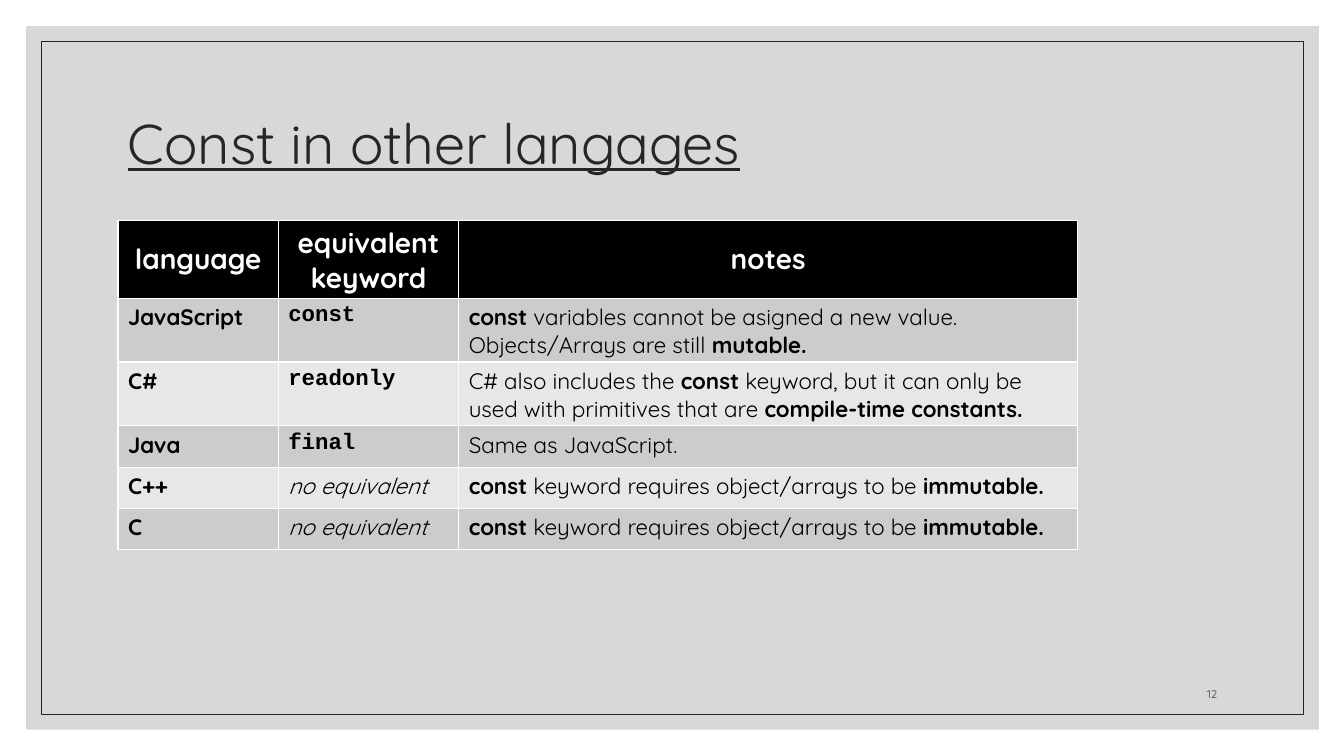
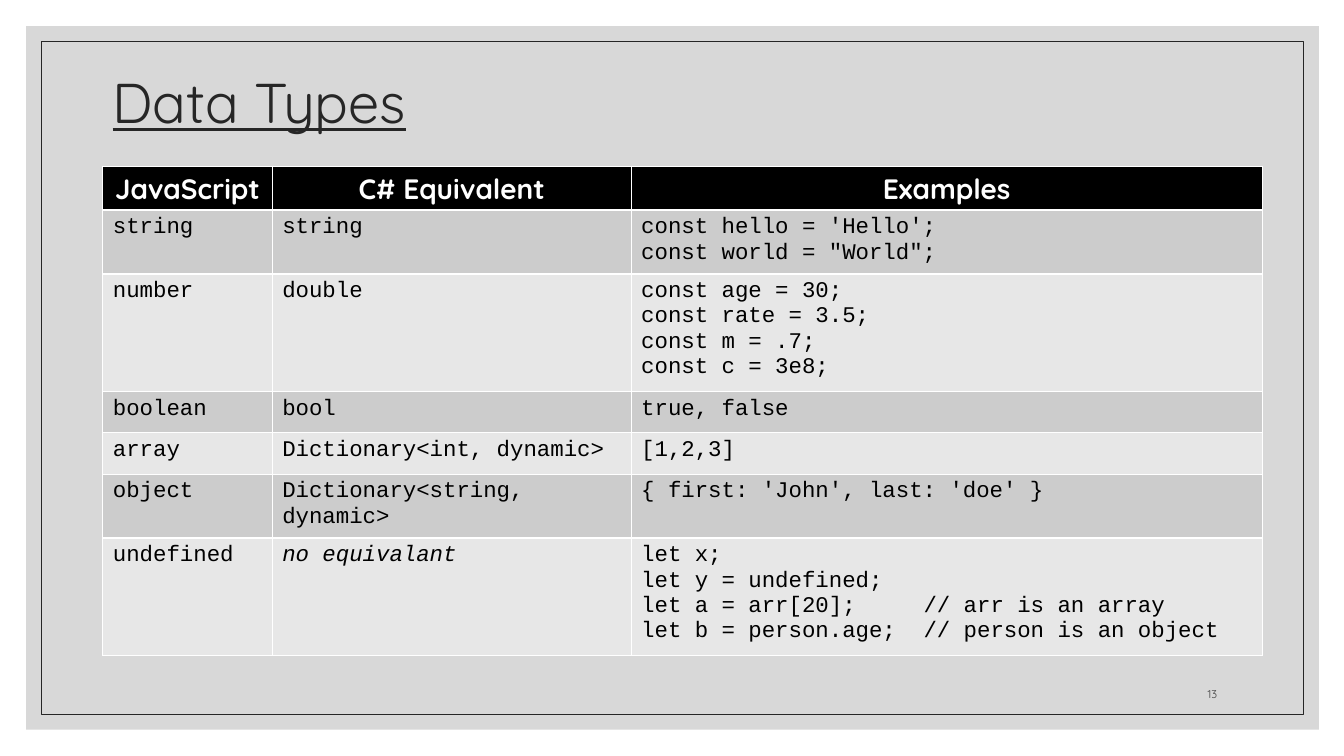
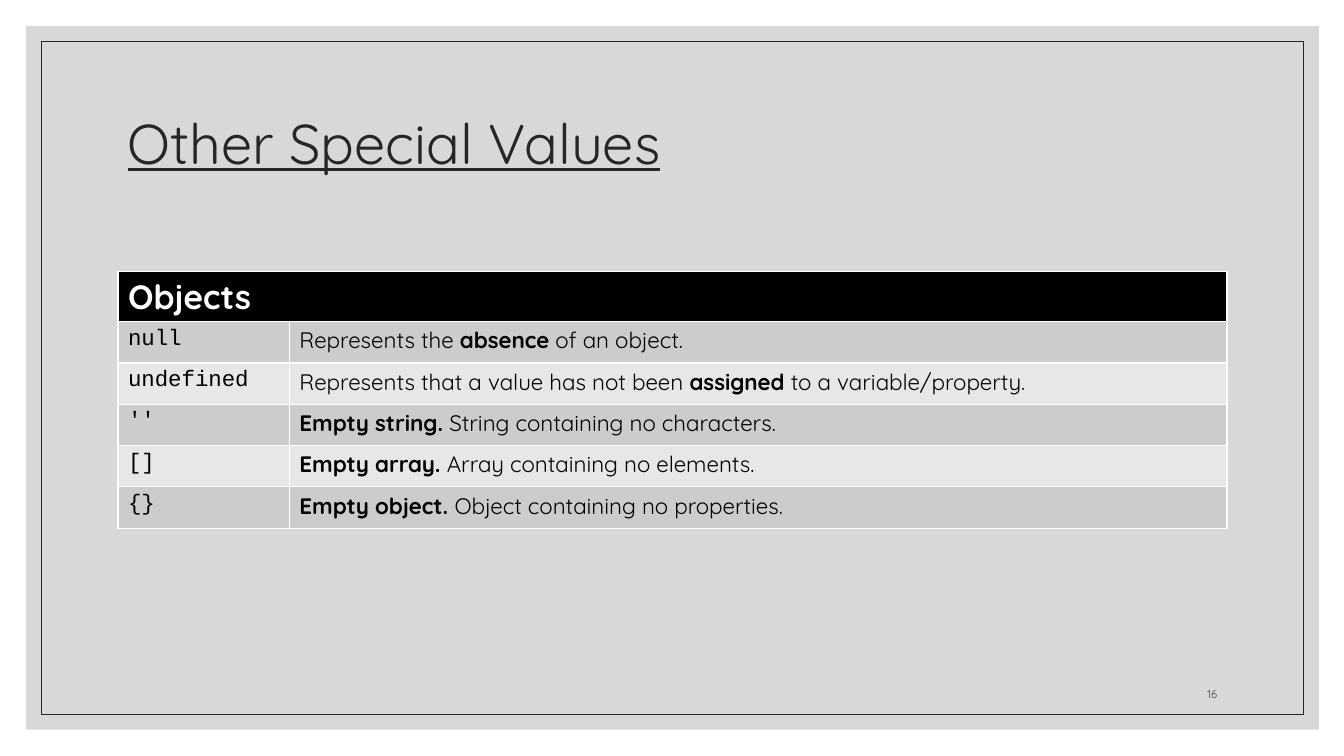
from dataclasses import dataclass
from typing import Any

from lxml import etree
from pptx import Presentation
from pptx.dml.color import RGBColor
from pptx.enum.shapes import MSO_SHAPE
from pptx.enum.text import MSO_ANCHOR, PP_ALIGN
from pptx.oxml.ns import qn
from pptx.util import Inches, Pt

RECTANGLE = MSO_SHAPE.RECTANGLE
TOP, MIDDLE, BOTTOM = MSO_ANCHOR.TOP, MSO_ANCHOR.MIDDLE, MSO_ANCHOR.BOTTOM
LEFT, CENTER, RIGHT = PP_ALIGN.LEFT, PP_ALIGN.CENTER, PP_ALIGN.RIGHT

SANS, MONO = "Quicksand", "Courier New"
BLACK, WHITE, INK, MUTED, PANEL = "000000", "FFFFFF", "262626", "404040", "BFBFBF"
BANDS = ("CCCCCC", "E7E7E7")
ROW_HEIGHT = 0.41
COMMENT_TAB = 2.8

TITLE = {"name": SANS, "size": Pt(40), "underline": True}
NUMBER = {"name": SANS, "size": Pt(8)}
HEADING = {"name": SANS, "size": Pt(20), "bold": True}
BIG_HEADING = {**HEADING, "size": Pt(24)}
PROSE = {"name": SANS, "size": Pt(16), "bold": False}
LABEL = {**PROSE, "bold": True}
ABSENT = {**PROSE, "italic": True}
CODE = {**PROSE, "name": MONO}
KEYWORD = {**CODE, "bold": True}
ABSENT_CODE = {**CODE, "italic": True}


@dataclass(frozen=True)
class Entry:
    text: str
    style: dict[str, Any]


@dataclass(frozen=True)
class Topic:
    title: str
    number: int
    left: float
    title_top: float
    table_top: float
    table_height: float
    widths: tuple[float, ...]
    headings: tuple[str, ...]
    heading_style: dict[str, Any]
    heading_align: Any
    heading_anchor: Any
    rows: list[tuple[Entry, ...]]


def rgb(color: str) -> RGBColor:
    return RGBColor.from_string(color)


def box(left: float, top: float, width: float, height: float) -> tuple:
    return Inches(left), Inches(top), Inches(width), Inches(height)


def add_run(paragraph, text: str, style: dict[str, Any], color: str) -> None:
    run = paragraph.add_run()
    run.text = text
    for attribute, value in style.items():
        setattr(run.font, attribute, value)
    run.font.color.rgb = rgb(color)


def add_tab_stop(paragraph, position: float) -> None:
    stops = etree.SubElement(paragraph._p.get_or_add_pPr(), qn("a:tabLst"))
    etree.SubElement(stops, qn("a:tab"), pos=str(Inches(position)), algn="l")


def write(frame, text: str, style: dict[str, Any], color: str, align=LEFT) -> None:
    for index, line in enumerate(text.split("\n")):
        paragraph = frame.add_paragraph() if index else frame.paragraphs[0]
        paragraph.alignment = align
        if "\t" in line:
            add_tab_stop(paragraph, COMMENT_TAB)
        for part, words in enumerate(line.split("**")):
            if words:
                emphasis = {"bold": True} if part % 2 else {}
                add_run(paragraph, words, {**style, **emphasis}, color)


def add_text(slide, place: tuple, text: str, style: dict[str, Any], color: str,
             anchor, align=LEFT):
    frame = slide.shapes.add_textbox(*place).text_frame
    frame.word_wrap = True
    frame.vertical_anchor = anchor
    write(frame, text, style, color, align)
    return frame


def add_frame(slide) -> None:
    panel = slide.shapes.add_shape(RECTANGLE, *box(0.26, 0.26, 12.82, 6.98))
    panel.fill.solid()
    panel.fill.fore_color.rgb = rgb(PANEL)
    tint = panel._element.spPr.find(f"{qn('a:solidFill')}/{qn('a:srgbClr')}")
    etree.SubElement(tint, qn("a:alpha"), val="60000")
    panel.line.fill.background()
    outline = slide.shapes.add_shape(RECTANGLE, *box(0.41, 0.41, 12.52, 6.68))
    outline.fill.background()
    outline.line.color.rgb = rgb(INK)
    outline.line.width = Pt(0.5)
    for shape in (panel, outline):
        shape.shadow.inherit = False


def fill_cell(cell, color: str) -> None:
    cell.fill.solid()
    cell.fill.fore_color.rgb = rgb(color)


def add_comparison(slide, topic: Topic) -> None:
    place = box(topic.left, topic.table_top, sum(topic.widths), topic.table_height)
    holder = slide.shapes.add_table(len(topic.rows) + 1, len(topic.widths), *place)
    table = holder.table
    for column, width in zip(table.columns, topic.widths):
        column.width = Inches(width)
    for row in table.rows:
        row.height = Inches(ROW_HEIGHT)
    holder.height = Inches(topic.table_height)

    for column in range(len(topic.widths)):
        fill_cell(table.cell(0, column), BLACK)
    if len(topic.headings) == 1:
        table.cell(0, 0).merge(table.cell(0, len(topic.widths) - 1))
    for column, heading in enumerate(topic.headings):
        cell = table.cell(0, column)
        cell.vertical_anchor = topic.heading_anchor
        write(cell.text_frame, heading, topic.heading_style, WHITE, topic.heading_align)

    for index, entries in enumerate(topic.rows):
        for column, entry in enumerate(entries):
            cell = table.cell(index + 1, column)
            fill_cell(cell, BANDS[index % 2])
            write(cell.text_frame, entry.text, entry.style, BLACK)


def add_topic(deck, topic: Topic) -> None:
    slide = deck.slides.add_slide(deck.slide_layouts[6])
    add_frame(slide)
    title = add_text(slide, box(topic.left, topic.title_top, 11, 1.5),
                     topic.title, TITLE, INK, MIDDLE)
    title.paragraphs[0].line_spacing = 0.9
    add_text(slide, box(11.25, 6.6, 0.92, 0.4), str(topic.number),
             NUMBER, MUTED, BOTTOM, RIGHT)
    add_comparison(slide, topic)


def code_row(name: str, equivalent: str, examples: str,
             equivalent_style: dict[str, Any] = CODE) -> tuple[Entry, ...]:
    return Entry(name, CODE), Entry(equivalent, equivalent_style), Entry(examples, CODE)


def const_row(language: str, keyword: str, notes: str,
              keyword_style: dict[str, Any] = KEYWORD) -> tuple[Entry, ...]:
    return Entry(language, LABEL), Entry(keyword, keyword_style), Entry(notes, PROSE)


def value_row(value: str, meaning: str) -> tuple[Entry, ...]:
    return Entry(value, CODE), Entry(meaning, PROSE)


IMMUTABLE = "**const** keyword requires object/arrays to be **immutable.**"

TOPICS = [
    Topic(
        "Const in other langages", 12, 1.17, 0.7, 2.19, 3.25, (1.59, 1.79, 6.14),
        ("language", "equivalent keyword", "notes"), HEADING, CENTER, MIDDLE,
        [
            const_row("JavaScript", "const",
                      "**const** variables cannot be asigned a new value.\n"
                      "Objects/Arrays are still **mutable.**"),
            const_row("C#", "readonly",
                      "C# also includes the **const** keyword, but it can only be used "
                      "with primitives that are **compile-time constants.**"),
            const_row("Java", "final", "Same as JavaScript."),
            const_row("C++", "no equivalent", IMMUTABLE, ABSENT),
            const_row("C", "no equivalent", IMMUTABLE, ABSENT),
        ],
    ),
    Topic(
        "Data Types", 13, 1.02, 0.3, 1.65, 4.62, (1.68, 3.56, 6.26),
        ("JavaScript", "C# Equivalent", "Examples"), HEADING, CENTER, MIDDLE,
        [
            code_row("string", "string",
                     "const hello = 'Hello';\nconst world = \"World\";"),
            code_row("number", "double",
                     "const age = 30;\nconst rate = 3.5;\nconst m = .7;\nconst c = 3e8;"),
            code_row("boolean", "bool", "true, false"),
            code_row("array", "Dictionary<int, dynamic>", "[1,2,3]"),
            code_row("object", "Dictionary<string, dynamic>",
                     "{ first: 'John', last: 'doe' }"),
            code_row("undefined", "no equivalant",
                     "let x;\nlet y = undefined;\n"
                     "let a = arr[20];\t// arr is an array\n"
                     "let b = person.age;\t// person is an object", ABSENT_CODE),
        ],
    ),
    Topic(
        "Other Special Values", 16, 1.17, 0.7, 2.69, 2.53, (1.7, 9.3),
        ("Objects",), BIG_HEADING, LEFT, TOP,
        [
            value_row("null", "Represents the **absence** of an object."),
            value_row("undefined", "Represents that a value has not been **assigned** "
                                   "to a variable/property."),
            value_row("''", "**Empty string.** String containing no characters."),
            value_row("[]", "**Empty array.** Array containing no elements."),
            value_row("{}", "**Empty object. **Object containing no properties."),
        ],
    ),
]


def main() -> None:
    deck = Presentation()
    deck.slide_width, deck.slide_height = Inches(13.33), Inches(7.5)
    for topic in TOPICS:
        add_topic(deck, topic)
    deck.save("out.pptx")


main()
